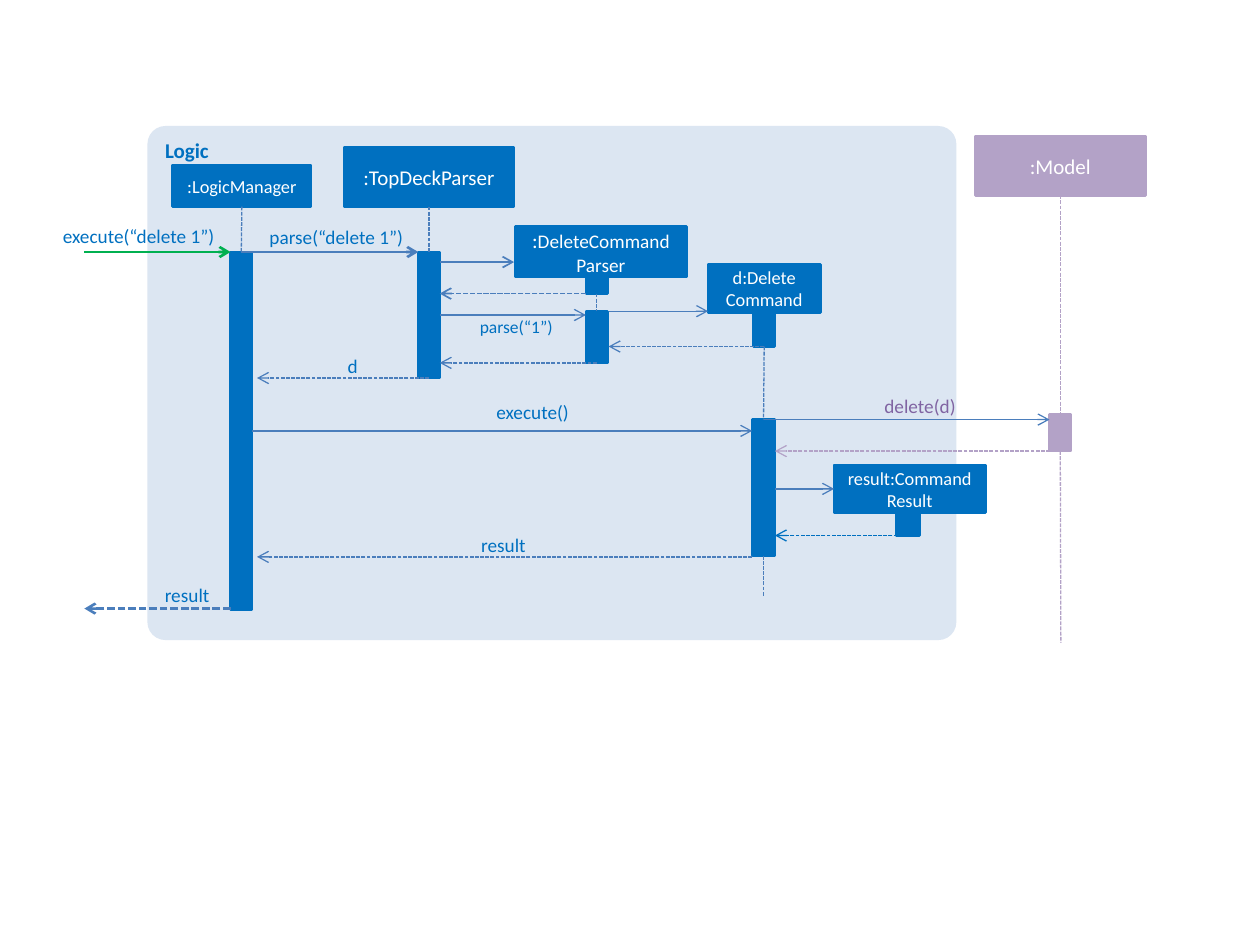
from lxml import etree
from pptx import Presentation
from pptx import util as u
from pptx.dml.color import RGBColor
from pptx.enum import dml, shapes, text
from pptx.oxml.ns import qn

BLUE, LINE, LILAC, GREEN = "0070C0", "4B7EBC", "B3A2C7", "00B050"
TOP, LEFT, BOTTOM = 0, 1, 2


def rgb(value):
    """Turn a hex string into a colour."""
    return RGBColor.from_string(value)


def add_run(p, words, size, color, bold=False):
    """Add formatted words to a paragraph."""
    r = p.add_run()
    r.text = words
    r.font.name = "Calibri"
    r.font.size = u.Pt(size)
    r.font.bold = bold
    r.font.color.rgb = rgb(color)


def add_panel(s, x, y, w, h, title):
    """Add the rounded background of a component with its title."""
    sp = s.shapes.add_shape(shapes.MSO_SHAPE.ROUNDED_RECTANGLE, *map(u.Inches, (x, y, w, h)))
    sp.adjustments[0] = 0.035
    sp.shadow.inherit = False
    sp.fill.solid()
    sp.fill.fore_color.rgb = rgb("DCE6F2")
    sp.line.fill.background()
    tf = sp.text_frame
    tf.vertical_anchor = text.MSO_ANCHOR.TOP
    tf.paragraphs[0].alignment = text.PP_ALIGN.LEFT
    add_run(tf.paragraphs[0], title, 12, BLUE, bold=True)


def add_box(s, x, y, w, h, *runs, color=BLUE):
    """Add a filled rectangle holding (words, size) runs, or an empty activation bar."""
    sp = s.shapes.add_shape(shapes.MSO_SHAPE.RECTANGLE, *map(u.Inches, (x, y, w, h)))
    sp.shadow.inherit = False
    sp.fill.solid()
    sp.fill.fore_color.rgb = rgb(color)
    sp.line.color.rgb = rgb(color)
    sp.line.width = u.Pt(1.5)
    tf = sp.text_frame
    tf.word_wrap = True
    tf.vertical_anchor = text.MSO_ANCHOR.MIDDLE
    tf.paragraphs[0].alignment = text.PP_ALIGN.CENTER
    for words, size in runs:
        add_run(tf.paragraphs[0], words, size, "FFFFFF")
    return sp


def add_label(s, x, y, w, h, words, size=11, color=BLUE):
    """Add an unwrapped message label."""
    tf = s.shapes.add_textbox(*map(u.Inches, (x, y, w, h))).text_frame
    tf.word_wrap = False
    tf.auto_size = text.MSO_AUTO_SIZE.SHAPE_TO_FIT_TEXT
    add_run(tf.paragraphs[0], words, size, color)


def add_link(s, start, end, color=LINE, width=0.75, dash=False, arrow=True):
    """Join two ends, each an (x, y) point or a (shape, side) pair."""
    ends = [start, end]
    docked = [not isinstance(e[0], (int, float)) for e in ends]
    points = [(0, 0) if d else e for e, d in zip(ends, docked)]
    c = s.shapes.add_connector(shapes.MSO_CONNECTOR.STRAIGHT,
                               *[u.Inches(v) for point in points for v in point])
    for e, d, connect in zip(ends, docked, (c.begin_connect, c.end_connect)):
        if d:
            connect(*e)
    c.line.color.rgb = rgb(color)
    c.line.width = u.Pt(width)
    if dash:
        c.line.dash_style = dml.MSO_LINE.SQUARE_DOT
    if arrow:
        etree.SubElement(c.line._get_or_add_ln(), qn("a:tailEnd"), type="arrow")
    etree.SubElement(c._element.spPr, qn("a:effectLst"))


def add_reply(s, start, end, **style):
    """Add a dashed return arrow."""
    add_link(s, start, end, dash=True, **style)


def add_lifeline(s, start, end, color=LINE):
    """Add a dashed lifeline without a head."""
    add_link(s, start, end, color=color, dash=True, arrow=False)


def main():
    """Build the sequence diagram."""
    prs = Presentation()
    prs.slide_width, prs.slide_height = u.Inches(10), u.Inches(7.5)
    s = prs.slides.add_slide(prs.slide_layouts[6])

    add_panel(s, 1.17, 1, 6.42, 4.08, "Logic")
    manager = add_box(s, 1.37, 1.31, 1.1, 0.33, (":LogicManager", 10.5))
    parser = add_box(s, 2.73, 1.17, 1.35, 0.47, (":TopDeckParser", 12))
    add_box(s, 4.09, 1.8, 1.36, 0.4, (":", 12), ("DeleteCommandParser", 11))
    add_box(s, 5.62, 2.1, 0.89, 0.38, ("d:Delete Command", 10.5))
    model = add_box(s, 7.74, 1.08, 1.35, 0.47, (":Model", 12), color=LILAC)
    result = add_box(s, 6.62, 3.69, 1.2, 0.38, ("result:Command Result", 10.5))

    manager_bar = add_box(s, 1.83, 2, 0.17, 2.84)
    parser_bar = add_box(s, 3.32, 2, 0.17, 1)
    create_bar = add_box(s, 4.65, 2.2, 0.17, 0.13)
    parse_bar = add_box(s, 4.65, 2.47, 0.17, 0.41)
    command_bar = add_box(s, 5.98, 2.47, 0.17, 0.28)
    execute_bar = add_box(s, 5.97, 3.33, 0.18, 1.08)
    model_bar = add_box(s, 8.33, 3.29, 0.17, 0.29, color=LILAC)
    result_bar = add_box(s, 7.11, 4.05, 0.19, 0.2)

    for upper, lower in ((manager, manager_bar), (parser, parser_bar),
                         (create_bar, parse_bar), (command_bar, execute_bar)):
        add_lifeline(s, (upper, BOTTOM), (lower, TOP))
    add_lifeline(s, (execute_bar, BOTTOM), (6.06, 4.73))
    add_lifeline(s, (model, BOTTOM), (model_bar, TOP), LILAC)
    add_lifeline(s, (model_bar, BOTTOM), (8.42, 5.1), LILAC)

    add_link(s, (0.67, 2), (1.83, 2), color=GREEN, width=1.5)
    add_link(s, (manager_bar, TOP), (3.32, 2), width=1.5)
    add_link(s, (3.49, 2.08), (4.08, 2.08), width=1)
    add_link(s, (3.49, 2.5), (4.65, 2.5))
    add_link(s, (4.83, 2.47), (5.62, 2.47))
    add_link(s, (2, 3.42), (5.97, 3.42))
    add_link(s, (execute_bar, TOP), (8.33, 3.33))
    add_link(s, (6.15, 3.88), (result, LEFT))

    add_reply(s, (4.65, 2.33), (3.49, 2.33), width=1)
    add_reply(s, (command_bar, BOTTOM), (4.83, 2.75))
    add_reply(s, (parse_bar, BOTTOM), (3.49, 2.88))
    add_reply(s, (parser_bar, BOTTOM), (2.04, 3))
    add_reply(s, (model_bar, BOTTOM), (6.15, 3.58), color=LILAC)
    add_reply(s, (result_bar, BOTTOM), (6.15, 4.25), color=BLUE)
    add_reply(s, (5.97, 4.42), (2.04, 4.42))
    add_reply(s, (1.83, 4.83), (0.67, 4.83), width=1.5)

    add_label(s, 0.4, 1.73, 1.43, 0.29, "execute(“delete 1”)")
    add_label(s, 2.04, 1.74, 1.28, 0.29, "parse(“delete 1”)")
    add_label(s, 3.71, 2.46, 0.82, 0.28, "parse(“1”)", size=10)
    add_label(s, 2.66, 2.76, 0.28, 0.29, "d")
    add_label(s, 3.84, 3.13, 0.79, 0.29, "execute()")
    add_label(s, 6.92, 3.08, 0.78, 0.29, "delete(d)", color="8064A2")
    add_label(s, 3.72, 4.18, 0.56, 0.29, "result")
    add_label(s, 1.21, 4.58, 0.56, 0.29, "result")

    prs.save("out.pptx")


if __name__ == "__main__":
    main()
